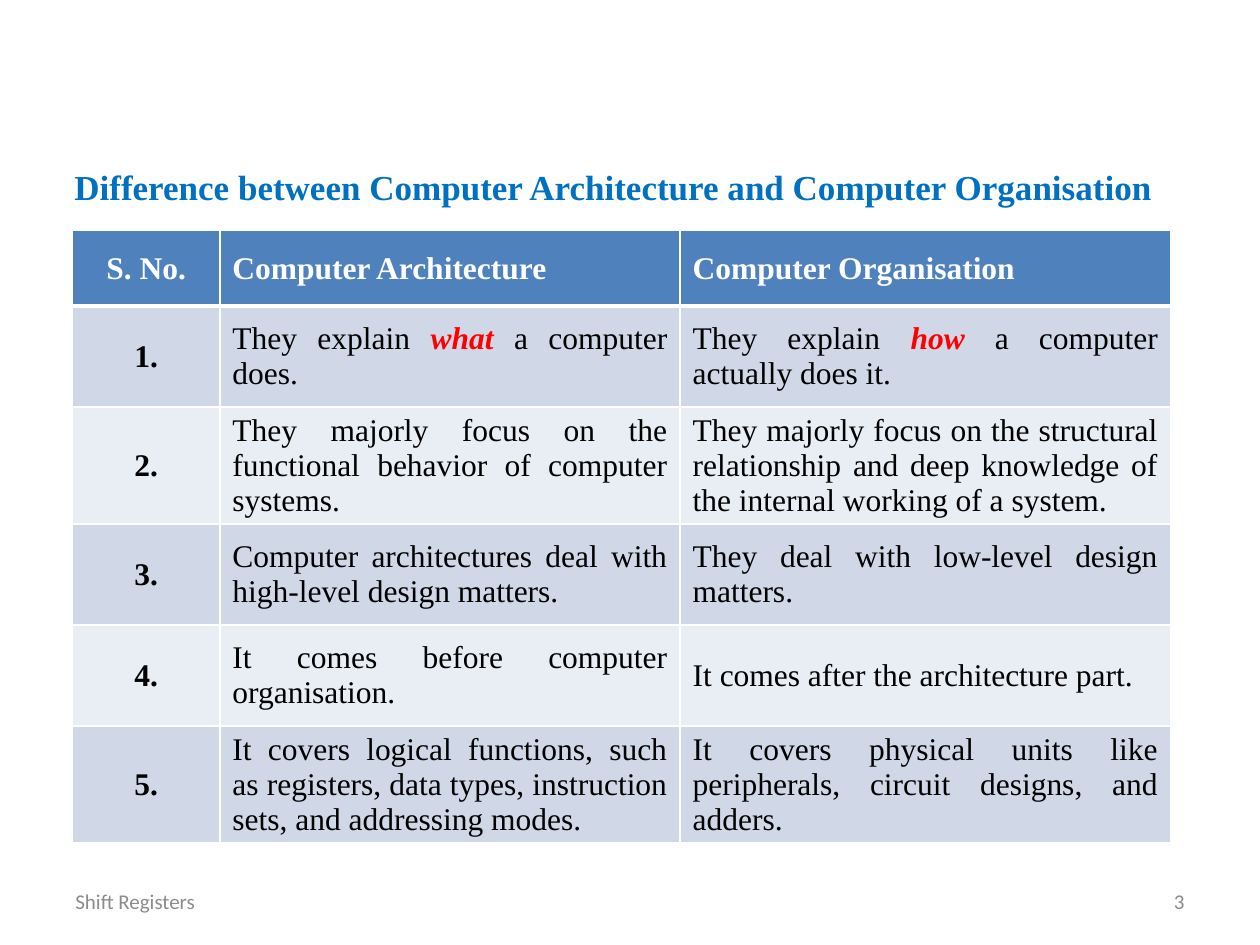
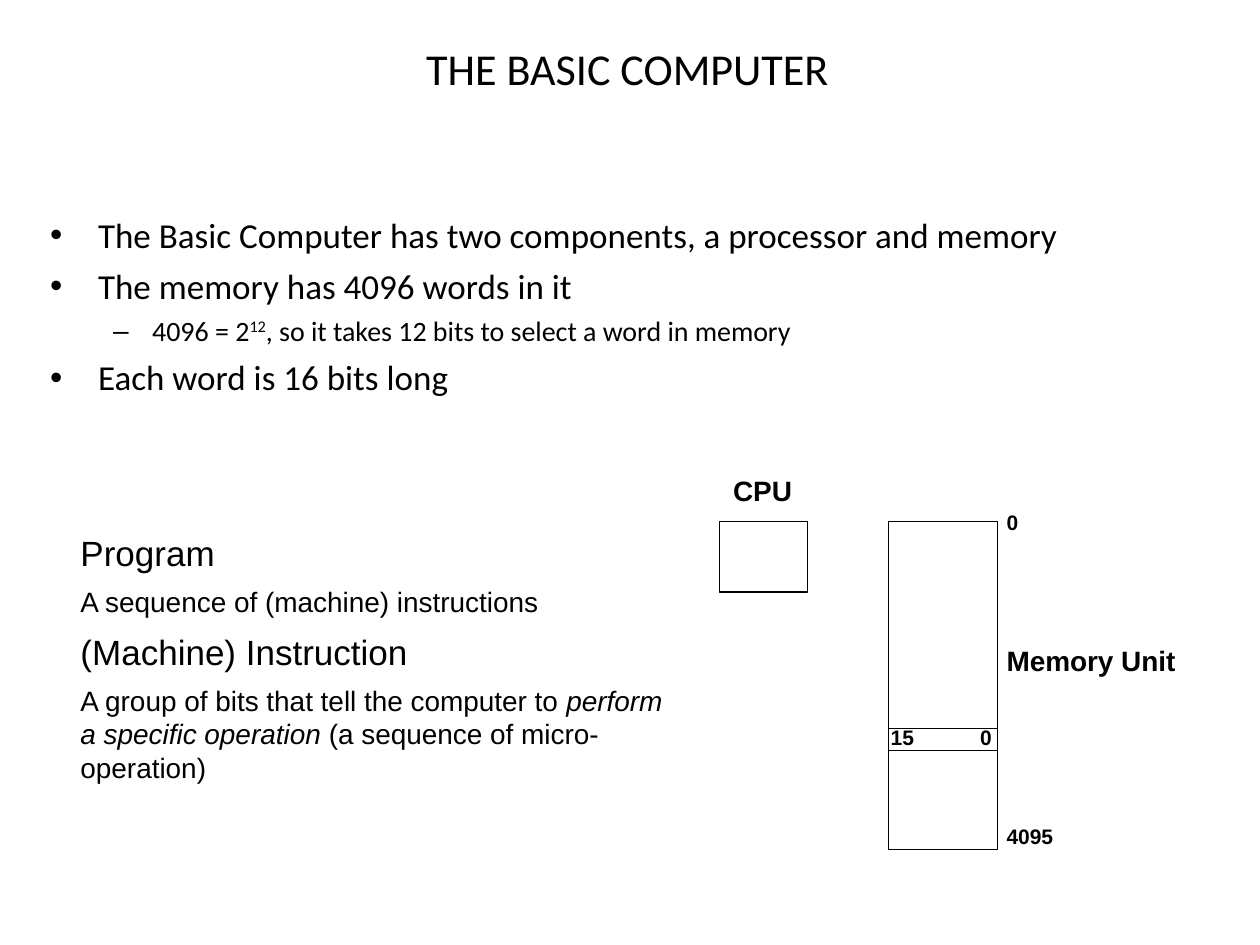
from lxml import etree
from pptx import Presentation
from pptx import util as u
from pptx.dml.color import RGBColor
from pptx.enum import shapes, text
from pptx.oxml.ns import qn

# Shared grid: 100 columns by 75 rows
COLUMNS, ROWS = 100, 75
UNIT = u.Inches(0.1)

# Shared look
BLACK, WHITE, GREY = "000000", "FFFFFF", "8C8C8C"
BLUE, RED = "0070C0", "FF0000"
HEADER_FILL, BAND_FILLS = "4F81BD", ("D0D8E8", "E9EDF4")
SANS, SERIF, DIAGRAM = "Calibri", "Times New Roman", "Arial"
ALIGN = {"left": text.PP_ALIGN.LEFT, "center": text.PP_ALIGN.CENTER,
         "right": text.PP_ALIGN.RIGHT, "justify": text.PP_ALIGN.JUSTIFY}

# Content
COMPARISON = [
    ("S. No.", "Computer Architecture", "Computer Organisation"),
    ("1.",
     ["They explain ", ("what", "key"), " a computer does."],
     ["They explain ", ("how", "key"), " a computer actually does it."]),
    ("2.",
     "They majorly focus on the functional behavior of computer systems.",
     "They majorly focus on the structural relationship and deep knowledge "
     "of the internal working of a system."),
    ("3.",
     "Computer architectures deal with high-level design matters.",
     "They deal with low-level design matters."),
    ("4.",
     "It comes before computer organisation.",
     "It comes after the architecture part."),
    ("5.",
     "It covers logical functions, such as registers, data types, "
     "instruction sets, and addressing modes.",
     "It covers physical units like peripherals, circuit designs, and adders."),
]
FACTS = [
    (0, "The Basic Computer has two components, a processor and memory"),
    (0, "The memory has 4096 words in it"),
    (1, ["4096 = 2", ("12", "super"), ", so it takes 12 bits to select a word in memory"]),
    (0, "Each word is 16 bits long"),
]
DEFINITIONS = [
    (0, "Program"),
    (1, "A sequence of (machine) instructions"),
    (0, "(Machine) Instruction"),
    (1, ["A group of bits that tell the computer to ",
         ("perform a specific operation", "italic"),
         " (a sequence of micro-operation)"]),
]
LEVEL_SIZE, LEVEL_SPACE = (20, 16), (7.5, 6)
# Bullet character, margin and indent of each level
BULLETS = (("•", 0.38, -0.38), ("–", 0.81, -0.31))
FLUSH = ((None, 0, 0),) * 2


def grid(*cells):
    return [round(cell * UNIT) for cell in cells]


def color(value):
    return RGBColor.from_string(value)


def write(paragraph, content, size=18, font=SANS, ink=BLACK, bold=False,
          align="left", spacing=None, before=None):
    """Fill a paragraph with a string, or a list of strings and (string, style) pairs."""
    paragraph.alignment = ALIGN[align]
    if spacing:
        paragraph.line_spacing = spacing
    if before:
        paragraph.space_before = u.Pt(before)
    for piece in [content] if isinstance(content, str) else content:
        words, style = (piece, None) if isinstance(piece, str) else piece
        run = paragraph.add_run()
        run.text = words
        face = run.font
        face.size, face.name = u.Pt(size), font
        face.bold = bold or style == "key"
        face.italic = style in ("key", "italic")
        face.color.rgb = color(RED if style == "key" else ink)
        if style == "super":
            run._r.get_or_add_rPr().set("baseline", "30000")


def text_box(slide, place, wrap=True, anchor=text.MSO_ANCHOR.TOP):
    frame = slide.shapes.add_textbox(*grid(*place)).text_frame
    frame.word_wrap, frame.vertical_anchor = wrap, anchor
    return frame


def label(slide, place, words, size=12):
    """One line of text in a box that grows to hold it."""
    frame = text_box(slide, place, wrap=False)
    frame.auto_size = text.MSO_AUTO_SIZE.SHAPE_TO_FIT_TEXT
    write(frame.paragraphs[0], words, size=size, font=DIAGRAM, bold=True, spacing=0.9)


def title(slide, place, words, **style):
    heading = slide.shapes.title
    heading.left, heading.top, heading.width, heading.height = grid(*place)
    frame = heading.text_frame
    frame.word_wrap, frame.auto_size = True, text.MSO_AUTO_SIZE.NONE
    frame.vertical_anchor = text.MSO_ANCHOR.MIDDLE
    write(frame.paragraphs[0], words, **style)


def footer(slide, words, number):
    margin, width = 5, 23.3
    for left, content, align in ((margin, words, "left"),
                                 (COLUMNS - margin - width, number, "right")):
        frame = text_box(slide, (left, ROWS - 5.5, width, 4),
                         anchor=text.MSO_ANCHOR.MIDDLE)
        write(frame.paragraphs[0], content, size=12, ink=GREY, align=align)


def indent_paragraph(paragraph, character, margin, indent):
    properties = paragraph._p.get_or_add_pPr()
    properties.set("marL", str(u.Inches(margin)))
    properties.set("indent", str(u.Inches(indent)))
    if character:
        etree.SubElement(properties, qn("a:buFont")).set("typeface", "Arial")
        etree.SubElement(properties, qn("a:buChar")).set("char", character)


def outline(slide, place, entries, indents, **style):
    """Text on two levels, each with its own size, spacing and indent."""
    frame = text_box(slide, place)
    for index, (level, content) in enumerate(entries):
        paragraph = frame.add_paragraph() if index else frame.paragraphs[0]
        paragraph.level = level
        write(paragraph, content, size=LEVEL_SIZE[level],
              before=LEVEL_SPACE[level], **style)
        indent_paragraph(paragraph, *indents[level])


def border(cell, bottom):
    properties = cell._tc.get_or_add_tcPr()
    for side, width in (("L", 1), ("R", 1), ("T", 1), ("B", bottom)):
        line = etree.SubElement(properties, qn(f"a:ln{side}"), w=str(u.Pt(width)))
        fill = etree.SubElement(line, qn("a:solidFill"))
        etree.SubElement(fill, qn("a:srgbClr"), val=WHITE)


def comparison_table(slide, left, top, widths, heights):
    table = slide.shapes.add_table(
        len(heights), len(widths), *grid(left, top, sum(widths), sum(heights))).table
    for column, width in zip(table.columns, grid(*widths)):
        column.width = width
    for row, height in zip(table.rows, grid(*heights)):
        row.height = height
    for r, entries in enumerate(COMPARISON):
        for c, entry in enumerate(entries):
            cell, header = table.cell(r, c), r == 0
            border(cell, bottom=3 if header else 1)
            cell.fill.solid()
            cell.fill.fore_color.rgb = color(HEADER_FILL if header else BAND_FILLS[(r - 1) % 2])
            cell.vertical_anchor = text.MSO_ANCHOR.MIDDLE
            align = "center" if c == 0 else "left" if header else "justify"
            write(cell.text_frame.paragraphs[0], entry, font=SERIF, align=align,
                  ink=WHITE if header else BLACK, bold=header or c == 0)


def stroke(line):
    line.color.rgb, line.width = color(BLACK), u.Pt(0.75)


def block(slide, place):
    unit = slide.shapes.add_shape(shapes.MSO_SHAPE.RECTANGLE, *grid(*place))
    unit.shadow.inherit = False
    unit.fill.background()
    stroke(unit.line)


def rule(slide, *ends):
    divider = slide.shapes.add_connector(shapes.MSO_CONNECTOR.STRAIGHT, *grid(*ends))
    stroke(divider.line)
    etree.SubElement(divider._element.spPr, qn("a:effectLst"))


def difference_slide(slide):
    title(slide, (4.9, 11.15, 88, 5.7),
          "Difference between Computer Architecture and Computer Organisation",
          size=20, font=SERIF, ink=BLUE, bold=True, align="justify", spacing=1.5)
    comparison_table(slide, 5.75, 18.3, (11.7, 36.53, 38.93), [6] + [8] * 5)
    footer(slide, "Shift Registers", "3")


def basic_computer_slide(slide):
    title(slide, (1.65, 3.25, 96.3, 4.8), "THE BASIC COMPUTER",
          size=25.2, align="center", spacing=0.9)
    outline(slide, (3, 16.8, 90, 21.7), FACTS, BULLETS, spacing=0.9)
    outline(slide, (5.4, 41.7, 50, 21.3), DEFINITIONS, FLUSH, font=DIAGRAM)

    # Processor and memory, with one word marked
    top, memory_left, memory_width = 41.4, 70.5, 8.7
    block(slide, (57.1, top, 7, 5.6))
    block(slide, (memory_left, top, memory_width, 26))
    for word_edge in (57.8, 59.55):
        rule(slide, memory_left, word_edge, memory_left + memory_width, word_edge)

    # Unit names, addresses and bit numbers
    label(slide, (57.2, 37.4, 6.8, 3.4), "CPU", size=16)
    label(slide, (78.9, 50.9, 15.6, 3.5), "Memory Unit", size=16)
    label(slide, (78.9, 40.2, 2.9, 2.8), "0")
    label(slide, (78.9, 65.1, 5.7, 2.8), "4095")
    label(slide, (69.7, 57.2, 3.9, 2.8), "15")
    label(slide, (76.8, 57.2, 2.9, 2.8), "0")


def main():
    deck = Presentation()
    deck.slide_width, deck.slide_height = grid(COLUMNS, ROWS)
    title_only = deck.slide_layouts[5]
    for build in (difference_slide, basic_computer_slide):
        build(deck.slides.add_slide(title_only))
    deck.save("out.pptx")


if __name__ == "__main__":
    main()
